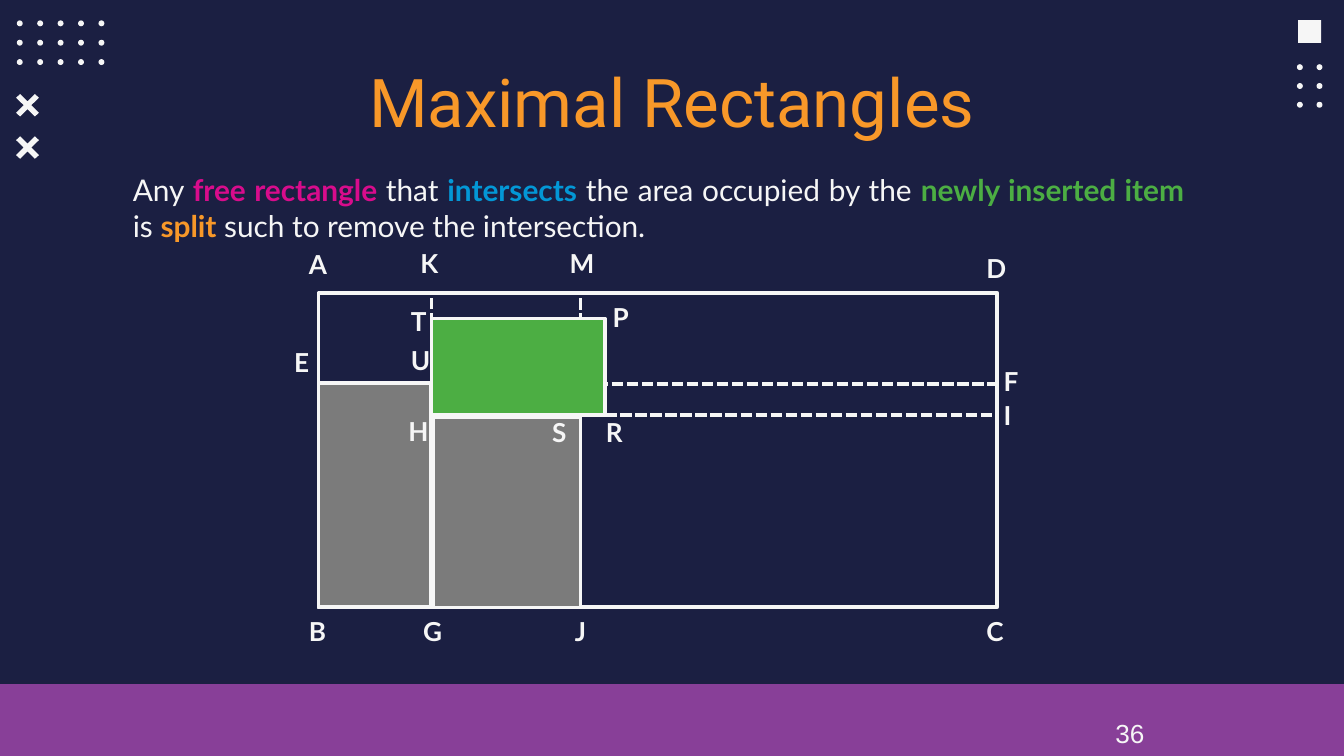
from dataclasses import dataclass
from itertools import product
from typing import NamedTuple

from pptx import Presentation
from pptx.dml.color import RGBColor
from pptx.enum.dml import MSO_LINE
from pptx.enum.shapes import MSO_CONNECTOR, MSO_SHAPE
from pptx.enum.text import MSO_ANCHOR, MSO_AUTO_SIZE, PP_ALIGN
from pptx.oxml.ns import qn
from pptx.util import Inches, Pt

RECT, OVAL = MSO_SHAPE.RECTANGLE, MSO_SHAPE.OVAL
STRAIGHT, DASH = MSO_CONNECTOR.STRAIGHT, MSO_LINE.SQUARE_DOT
LEFT, CENTER, JUSTIFY = PP_ALIGN.LEFT, PP_ALIGN.CENTER, PP_ALIGN.JUSTIFY
TOP, FIXED = MSO_ANCHOR.TOP, MSO_AUTO_SIZE.NONE

# Grid: 100 columns by 56.25 rows of square cells
WIDTH, HEIGHT = Inches(10), Inches(5.625)
COLS, ROWS = 100, 56.25


def cx(cols: float) -> int:
    return round(WIDTH * cols / COLS)


def cy(rows: float) -> int:
    return round(HEIGHT * rows / ROWS)


@dataclass(frozen=True)
class Theme:
    navy: str = "1B1F42"
    white: str = "F6F6F6"
    purple: str = "883F98"
    orange: str = "F89829"
    pink: str = "D80C8C"
    blue: str = "0397D6"
    green: str = "4CAE43"
    gray: str = "7B7B7B"
    title_font: str = "Roboto"
    body_font: str = "Lato"
    number_font: str = "Arial"
    title_size: int = 36
    body_size: int = 16
    label_size: int = 14
    line_width: int = 2


T = Theme()


class Box(NamedTuple):
    col: float
    row: float
    cols: float
    rows: float

    def emu(self) -> tuple[int, int, int, int]:
        return cx(self.col), cy(self.row), cx(self.cols), cy(self.rows)


class Run(NamedTuple):
    text: str
    color: str = T.white
    bold: bool = False


class Label(NamedTuple):
    text: str
    col: float
    row: float


class Dots(NamedTuple):
    col: float
    row: float
    across: int
    down: int
    col_step: float
    row_step: float


def rgb(color: str) -> RGBColor:
    return RGBColor.from_string(color)


def write(tf, runs: list[Run], font: str, size: int, align=LEFT) -> None:
    for name, value in dict(word_wrap=True, auto_size=FIXED,
                            vertical_anchor=TOP).items():
        setattr(tf, name, value)
    p = tf.paragraphs[0]
    p.alignment = align
    for run in runs:
        r = p.add_run()
        r.text = run.text
        for name, value in dict(name=font, size=Pt(size), bold=run.bold).items():
            setattr(r.font, name, value)
        r.font.color.rgb = rgb(run.color)


def add_text(s, box: Box, runs: list[Run], font: str, size: int, align=LEFT) -> None:
    write(s.shapes.add_textbox(*box.emu()).text_frame, runs, font, size, align)


def paint(sp, fill: str | None, line: str | None = None) -> None:
    sp.shadow.inherit = False
    if fill:
        sp.fill.solid()
        sp.fill.fore_color.rgb = rgb(fill)
    else:
        sp.fill.background()
    if line:
        sp.line.color.rgb = rgb(line)
        sp.line.width = Pt(T.line_width)
    else:
        sp.line.fill.background()


def add_box(s, box: Box, fill: str | None, line: str | None = None, kind=RECT) -> None:
    paint(s.shapes.add_shape(kind, *box.emu()), fill, line)


def add_dash(s, x1: float, y1: float, x2: float, y2: float) -> None:
    c = s.shapes.add_connector(STRAIGHT, cx(x1), cy(y1), cx(x2), cy(y2))
    c.line.color.rgb = rgb(T.white)
    c.line.width = Pt(T.line_width)
    c.line.dash_style = DASH
    sp_pr = c._element.spPr
    sp_pr.append(sp_pr.makeelement(qn("a:effectLst"), {}))


def add_cross(s, col: float, row: float) -> None:
    points = [(cx(col + x), cy(row + y)) for x, y in CROSS]
    builder = s.shapes.build_freeform(*points[0])
    builder.add_line_segments(points[1:], close=True)
    paint(builder.convert_to_shape(), T.white)


def add_dots(s, dots: Dots) -> None:
    for i, j in product(range(dots.across), range(dots.down)):
        add_box(s, Box(dots.col + i * dots.col_step, dots.row + j * dots.row_step,
                       DOT, DOT), T.white, kind=OVAL)


DOT = 0.44
CROSS = [(0.3, 0), (0.85, 0.55), (1.4, 0), (1.7, 0.28), (1.13, 0.83), (1.7, 1.4),
         (1.4, 1.67), (0.85, 1.12), (0.3, 1.67), (0, 1.4), (0.57, 0.83), (0, 0.28)]
DOT_GRIDS = [Dots(1.25, 1.52, 5, 3, 1.52, 1.44), Dots(96.5, 4.78, 2, 3, 1.46, 1.4)]

RULE = [Run("Any "), Run("free rectangle ", T.pink, True), Run("that "),
        Run("intersects", T.blue, True), Run(" the area occupied by the "),
        Run("newly inserted item ", T.green, True), Run("is "),
        Run("split", T.orange, True), Run(" such to remove the intersection.")]

# Edges of the bin and of the items packed in it
BIN_LEFT, BIN_RIGHT, BIN_TOP, BIN_BOTTOM = 23.7, 74.2, 21.8, 45.2
X_K, X_M, Y_E, Y_H = 32.1, 43.2, 28.6, 30.9
NEW_ITEM = Box(X_K, 23.7, 12.9, 7.2)
PACKED_ITEMS = [Box(BIN_LEFT, 28.5, 8.4, 16.7), Box(32.2, 31, 11, 14.2)]

LABEL_SIDE = 3.4
LABELS = [Label("A", 22, 18), Label("K", 30.3, 17.9), Label("M", 41.4, 17.9),
          Label("D", 72.4, 18.3), Label("E", 20.9, 25.3), Label("T", 29.6, 22.2),
          Label("U", 29.6, 25.1), Label("P", 44.6, 21.9), Label("F", 73.7, 26.7),
          Label("I", 73.7, 29.2), Label("H", 29.4, 30.4), Label("S", 40.1, 30.5),
          Label("R", 44.1, 30.5), Label("B", 22, 45.3), Label("G", 30.5, 45.3),
          Label("J", 41.8, 45.3), Label("C", 72.4, 45.3)]


def main() -> None:
    prs = Presentation()
    prs.slide_width, prs.slide_height = WIDTH, HEIGHT
    s = prs.slides.add_slide(prs.slide_layouts[5])
    s.background.fill.solid()
    s.background.fill.fore_color.rgb = rgb(T.navy)

    # Corner ornaments and footer band
    add_box(s, Box(96.6, 1.5, 1.7, 1.7), T.white)
    for row in (7, 10.15):
        add_cross(s, 1.2, row)
    for dots in DOT_GRIDS:
        add_dots(s, dots)
    add_box(s, Box(0, 50.9, COLS, ROWS - 50.9), T.purple)
    add_text(s, Box(82, 52.9, 17.2, 3.4), [Run("36")], T.number_font, T.label_size)

    # Title and rule
    title = s.shapes.title
    title.left, title.top, title.width, title.height = Box(7.8, 3.5, 84.4, 6.3).emu()
    tf = title.text_frame
    for side in ("left", "top", "right", "bottom"):
        setattr(tf, f"margin_{side}", cx(1))
    write(tf, [Run("Maximal Rectangles", T.orange)], T.title_font, T.title_size, CENTER)
    add_text(s, Box(8.9, 12.3, 80.2, 6.4), RULE, T.body_font, T.body_size, JUSTIFY)

    # Bin with the free-space splits behind the items
    add_dash(s, X_K, Y_E, BIN_RIGHT, Y_E)
    add_dash(s, X_K, Y_E, X_K, BIN_TOP)
    add_dash(s, X_M, 33.1, X_M, BIN_TOP)
    add_box(s, Box(BIN_LEFT, BIN_TOP, BIN_RIGHT - BIN_LEFT, BIN_BOTTOM - BIN_TOP),
            None, T.white)
    add_dash(s, 42.8, Y_H, 73.8, Y_H)
    add_box(s, NEW_ITEM, T.green, T.white)
    for item in PACKED_ITEMS:
        add_box(s, item, T.gray, T.white)

    # Corner letters
    for label in LABELS:
        add_text(s, Box(label.col, label.row, LABEL_SIDE, LABEL_SIDE),
                 [Run(label.text, bold=True)], T.body_font, T.label_size)

    prs.save("out.pptx")


if __name__ == "__main__":
    main()
